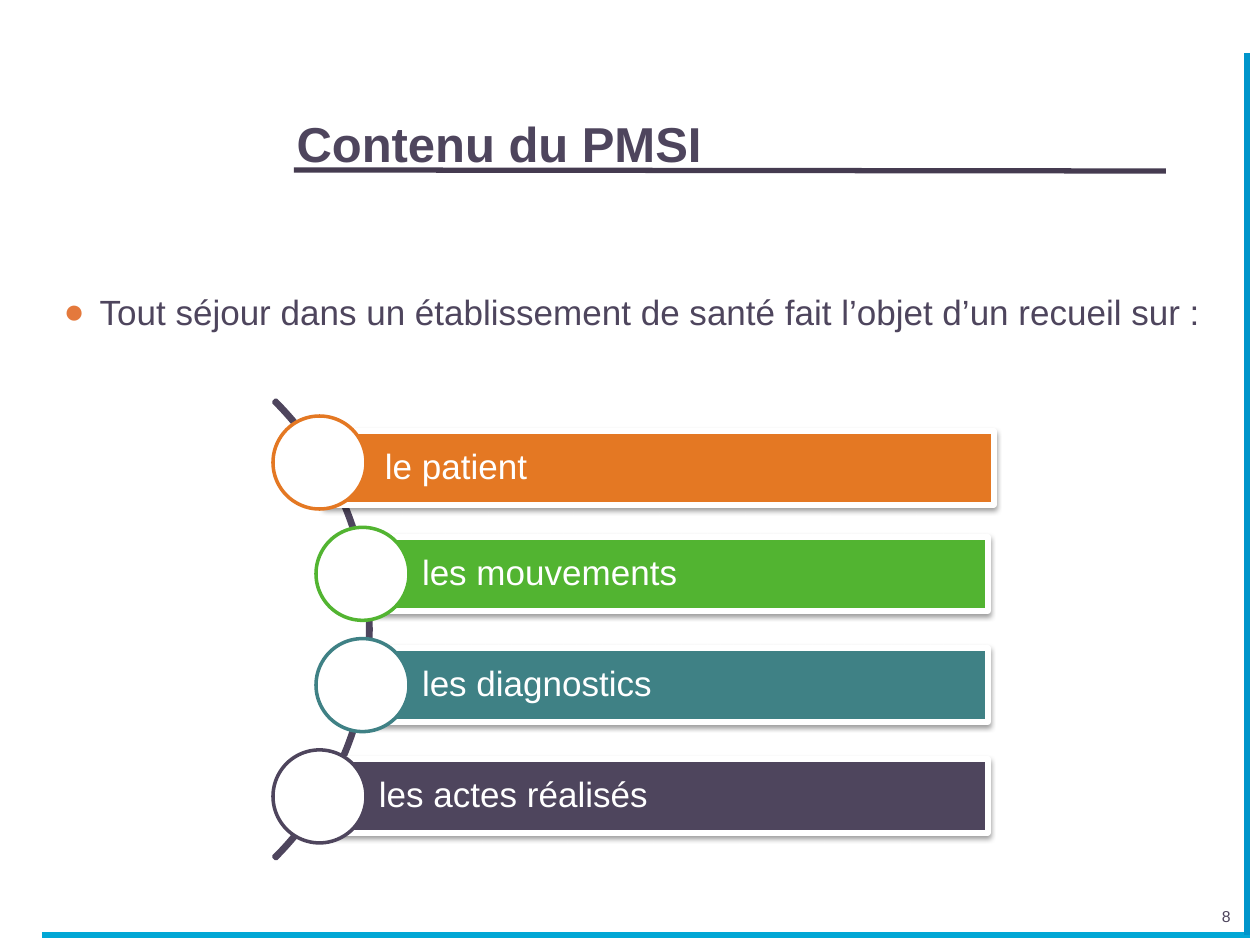
"""Build the slide on the content of the PMSI."""
from lxml.etree import SubElement as Sub
from pptx import Presentation
from pptx.dml.color import RGBColor as Rgb
from pptx.enum.shapes import MSO_CONNECTOR as Link, MSO_SHAPE as Kind
from pptx.enum.text import MSO_ANCHOR as Anchor, MSO_AUTO_SIZE as Fit, PP_ALIGN as Align
from pptx.oxml.ns import qn
from pptx.util import Emu, Pt

TITLE = "Contenu du PMSI"
LEAD = "Tout séjour dans un établissement de santé fait l’objet d’un recueil sur :"
PAGE = "8"
INK, WHITE = "4E455D", "FFFFFF"
ITEMS = [
    ("le patient", "E47823", 273, (326, 431, 668)),
    ("les mouvements", "52B431", 316, (363, 537, 625)),
    ("les diagnostics", "3F8185", 316, (363, 648, 625)),
    ("les actes réalisés", INK, 273, (320, 759, 668)),
]
RULES = [
    ((294, 170, 1166, 171), "453B50"),
    ((42, 935, 1250, 935), "02A7D5"),
    ((1247, 935, 1247, 53), "0095CB"),
]
TOP, STEP, DISC, BAR = 416, 111.3, 93, 74
ARC = (-278, 305, 649, 649)


def px(n):
    return Emu(round(n * 914400 / 126))


def hue(code):
    return Rgb.from_string(code)


def put(obj, vals):
    for name, val in vals.items():
        setattr(obj, name, val)


def place(shape, box):
    put(shape, dict(zip(("left", "top", "width", "height"), map(px, box))))


def write(shape, text, size, color=INK, bold=False, align=Align.LEFT, gap=1.0, **frame):
    body = shape.text_frame
    put(body, {"word_wrap": True, "auto_size": Fit.NONE, **frame})
    para = body.paragraphs[0]
    put(para, {"alignment": align, "line_spacing": gap})
    run = para.add_run()
    run.text = text
    put(run.font, {"name": "Arial", "size": Pt(size), "bold": bold})
    run.font.color.rgb = hue(color)
    return para


def draw(kind, box, fill, line, width):
    shape = slide.shapes.add_shape(kind, *map(px, box))
    shape.shadow.inherit = False
    shape.fill.solid()
    shape.fill.fore_color.rgb = hue(fill)
    shape.line.color.rgb = hue(line)
    shape.line.width = Pt(width)
    return shape


def shade(shape):
    glow = shape._element.spPr.find(qn("a:effectLst"))
    cast = Sub(glow, qn("a:outerShdw"), blurRad=str(Pt(3.1)), dist=str(Pt(1.6)),
               dir="5400000", rotWithShape="0")
    tint = Sub(cast, qn("a:srgbClr"), val="000000")
    Sub(tint, qn("a:alpha"), val="38000")


def bullet(para):
    props = para._p.get_or_add_pPr()
    put(para, {"space_before": Pt(4)})
    props.set("marL", str(px(62)))
    props.set("indent", str(px(-36)))
    Sub(Sub(props, qn("a:buClr")), qn("a:srgbClr"), val="E4793C")
    Sub(props, qn("a:buFont"), typeface="Arial")
    Sub(props, qn("a:buChar"), char="●")


deck = Presentation()
put(deck, {"slide_width": px(1260), "slide_height": px(945)})
slide = deck.slides.add_slide(deck.slide_layouts[1])

for ends, color in RULES:
    rule = slide.shapes.add_connector(Link.STRAIGHT, *map(px, ends))
    rule.line.color.rgb = hue(color)
    rule.line.width = Pt(3)
    Sub(rule._element.spPr, qn("a:effectLst"))

title, lead = slide.placeholders
place(title, (284, 42, 840, 137))
write(title, TITLE, 28, bold=True, vertical_anchor=Anchor.BOTTOM)
place(lead, (25, 284, 1211, 514))
bullet(write(lead, LEAD, 20))
page = slide.shapes.add_textbox(*map(px, (1191, 901, 52, 34)))
write(page, PAGE, 9, align=Align.RIGHT)

arc = draw(Kind.BLOCK_ARC, ARC, INK, INK, 2)
for n, val in enumerate((189, 27, 0.005)):
    arc.adjustments[n] = val

pads = {"margin_left": px(59), **dict.fromkeys(("margin_top", "margin_right", "margin_bottom"), px(8))}
for row, (text, color, left, (x, y, wide)) in enumerate(ITEMS):
    bar = draw(Kind.RECTANGLE, (x, y, wide, BAR), color, WHITE, 3)
    shade(bar)
    write(bar, text, 20, WHITE, gap=0.9, vertical_anchor=Anchor.MIDDLE, **pads)
    draw(Kind.OVAL, (left, TOP + row * STEP, DISC, DISC), WHITE, color, 2)

deck.save("out.pptx")
